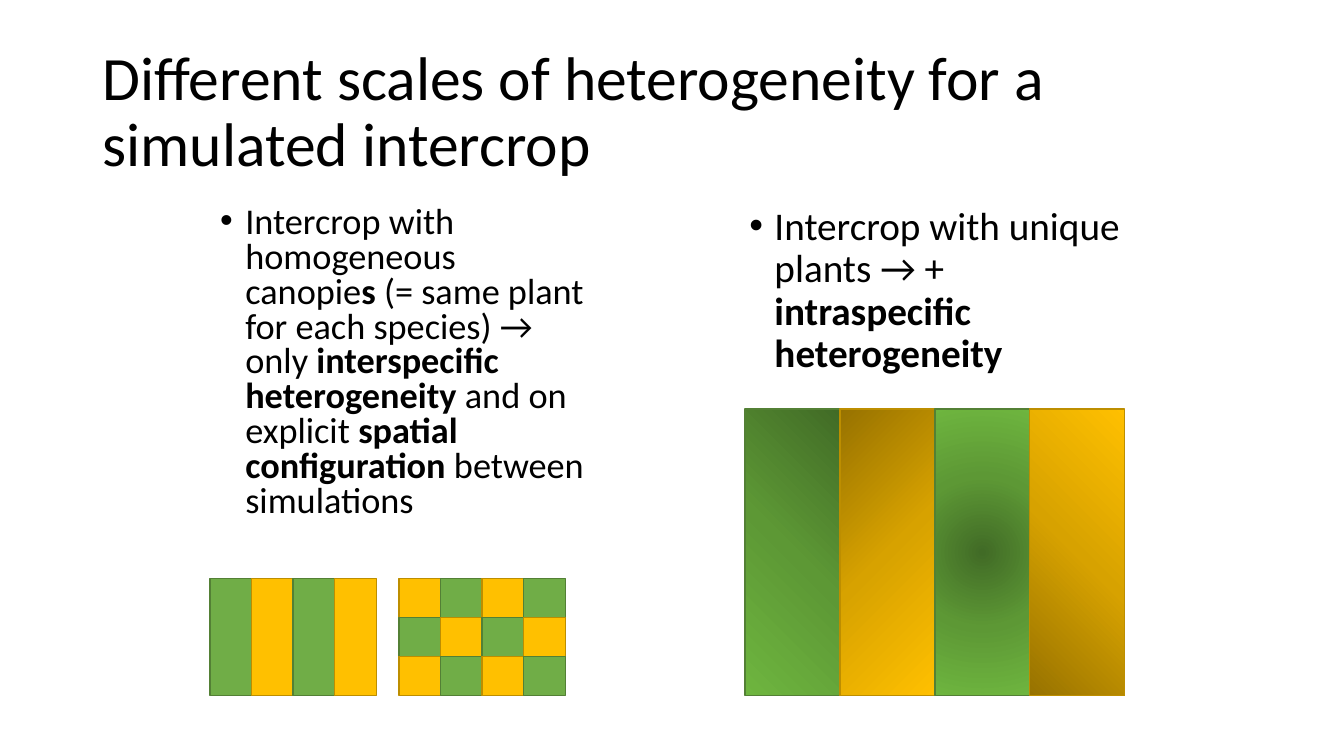
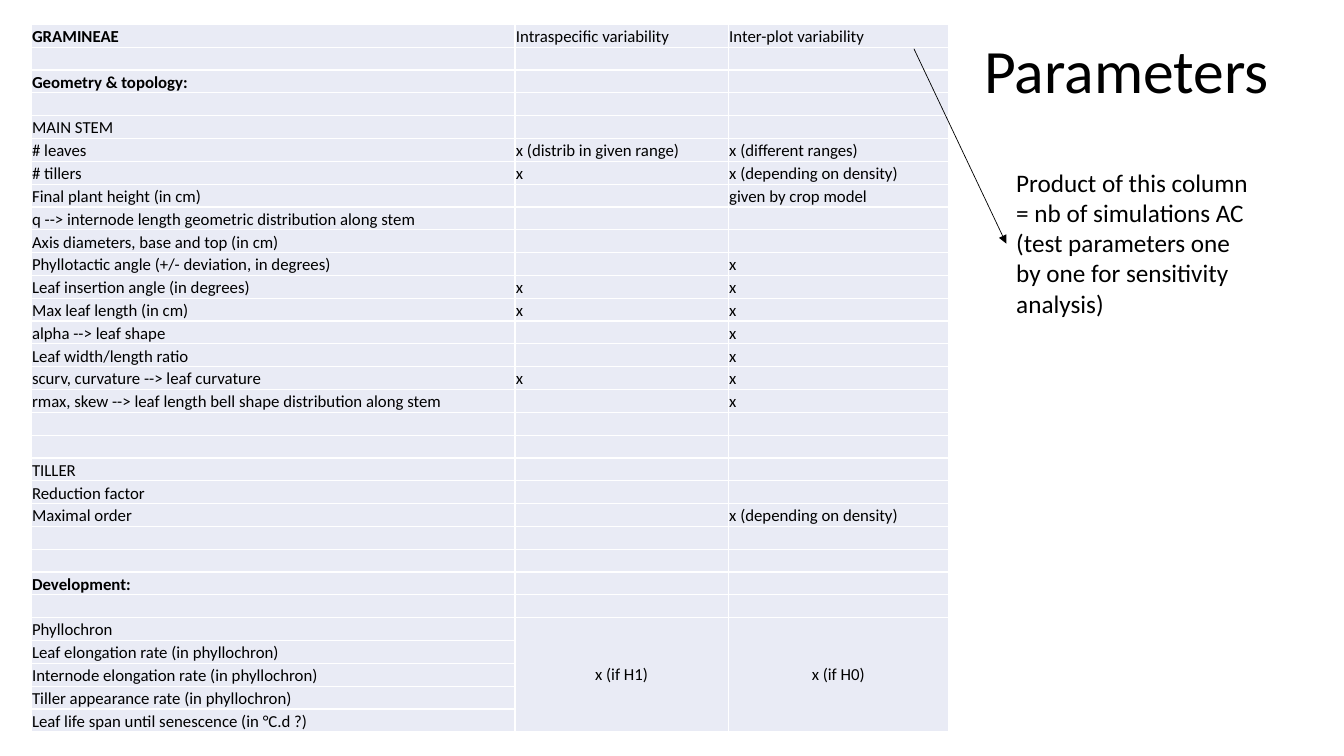
from lxml import etree
from pptx import Presentation
from pptx import util as u
from pptx.dml.color import RGBColor
from pptx.enum import shapes as es, text as et
from pptx.oxml import parse_xml
from pptx.oxml.ns import nsdecls, qn

BLACK = RGBColor(0x00, 0x00, 0x00)
PALE = RGBColor(0xE9, 0xEB, 0xF5)
GREEN = RGBColor(0x70, 0xAD, 0x47)
MOSS = RGBColor(0x53, 0x80, 0x35)
GOLD = RGBColor(0xFF, 0xC0, 0x00)
BROWN = RGBColor(0xBD, 0x8E, 0x00)
EDGE = {GREEN: MOSS, GOLD: BROWN}
PAIR = (GREEN, GOLD)
SHADES = {
    GREEN: (RGBColor(0x41, 0x6B, 0x26), RGBColor(0x5D, 0x98, 0x35), RGBColor(0x6E, 0xB5, 0x3F)),
    GOLD: (RGBColor(0x97, 0x72, 0x00), RGBColor(0xD7, 0xA2, 0x00), GOLD),
}
FONT = "Calibri"
COLS, ROWS = 160, 90
UNIT = u.Inches(7.5) / ROWS

LEFT = ("Intercrop with homogeneous canopie*s* (= same plant for each species) → only "
        "*interspecific heterogeneity *and on explicit *spatial configuration *between simulations")
RIGHT = "Intercrop with unique plants → + *intraspecific heterogeneity*"
NOTE = ("Product of this column = nb of simulations AC",
        "(test parameters one by one for sensitivity analysis)")
SPANS = (57.6, 25.4, 26.2)
BLANK = ("", "", "")
TRAITS = [
    ("*GRAMINEAE*", "Intraspecific variability", "Inter-plot variability"),
    BLANK,
    ("*Geometry & topology:*", "", ""),
    BLANK,
    ("MAIN STEM", "", ""),
    ("# leaves", "x (distrib in given range)", "x (different ranges)"),
    ("# tillers", "x", "x (depending on density)"),
    ("Final plant height (in cm)", "", "given by crop model"),
    ("q --> internode length geometric distribution along stem", "", ""),
    ("Axis diameters, base and top (in cm)", "", ""),
    ("Phyllotactic angle (+/- deviation, in degrees)", "", "x"),
    ("Leaf insertion angle (in degrees)", "x", "x"),
    ("Max leaf length (in cm)", "x", "x"),
    ("alpha --> leaf shape", "", "x"),
    ("Leaf width/length ratio", "", "x"),
    ("scurv, curvature --> leaf curvature", "x", "x"),
    ("rmax, skew --> leaf length bell shape distribution along stem", "", "x"),
    BLANK,
    BLANK,
    ("TILLER", "", ""),
    ("Reduction factor", "", ""),
    ("Maximal order", "", "x (depending on density)"),
    BLANK,
    BLANK,
    ("*Development:*", "", ""),
    BLANK,
    ("Phyllochron", "x (if H1)", "x (if H0)"),
    ("Leaf elongation rate (in phyllochron)", "", ""),
    ("Internode elongation rate (in phyllochron)", "", ""),
    ("Tiller appearance rate (in phyllochron)", "", ""),
    ("Leaf life span until senescence (in °C.d ?)", "", ""),
]
MERGE = 26


def grid(*cells):
    """Turn grid units into slide lengths."""
    return [u.Emu(round(c * UNIT)) for c in cells]


def place(shape, box):
    """Move a shape to a box of the grid."""
    shape.left, shape.top, shape.width, shape.height = grid(*box)


def write(para, words, size):
    """Fill a paragraph, with the words between stars in bold."""
    for i, part in enumerate(words.split("*")):
        if part:
            run = para.add_run()
            run.text = part
            run.font.name, run.font.size = FONT, u.Pt(size)
            run.font.bold = i % 2 == 1
            run.font.color.rgb = BLACK


def head(slide, words, box):
    """Set the slide title in the shared style."""
    title = slide.shapes.title
    place(title, box)
    frame = title.text_frame
    frame.auto_size = et.MSO_AUTO_SIZE.NONE
    frame.vertical_anchor = et.MSO_ANCHOR.MIDDLE
    para = frame.paragraphs[0]
    para.alignment, para.line_spacing = et.PP_ALIGN.LEFT, 0.9
    write(para, words, 44)


def point(body, words, box, size, pitch):
    """Set one bullet point in a body placeholder."""
    place(body, box)
    body.text_frame.auto_size = et.MSO_AUTO_SIZE.NONE
    for node in body.element.iter(qn("a:p")):
        props = node.get_or_add_pPr()
        props.set("marL", str(u.Inches(0.25)))
        props.set("indent", str(-u.Inches(0.25)))
        props.append(parse_xml(f'<a:buFont {nsdecls("a")} typeface="Arial"/>'))
        props.append(parse_xml(f'<a:buChar {nsdecls("a")} char="•"/>'))
    para = body.text_frame.paragraphs[0]
    para.line_spacing, para.space_before = pitch, u.Pt(0)
    write(para, words, size)


def field(slide, box, cols, rows, pick):
    """Tile a box with plots, coloured by column and row."""
    x, y, w, h = box
    w, h = w / cols, h / rows
    plots = []
    for row in range(rows):
        for col in range(cols):
            spot = grid(x + col * w, y + row * h, w, h)
            plot = slide.shapes.add_shape(es.MSO_SHAPE.RECTANGLE, *spot)
            tint = pick(col, row)
            plot.shadow.inherit = False
            plot.fill.solid()
            plot.fill.fore_color.rgb = tint
            plot.line.color.rgb, plot.line.width = EDGE[tint], u.Pt(1)
            plots.append(plot)
    return plots


def shade(plot, tint, course):
    """Give a plot a three-stop gradient along a course."""
    stops = "".join(f'<a:gs pos="{i * 50000}"><a:srgbClr val="{c}"/></a:gs>'
                    for i, c in enumerate(SHADES[tint]))
    flow = parse_xml(f'<a:gradFill {nsdecls("a")} rotWithShape="1">'
                     f"<a:gsLst>{stops}</a:gsLst>{course}</a:gradFill>")
    props = plot.element.spPr
    props.replace(props.find(qn("a:solidFill")), flow)


def line(turn):
    """Describe a straight gradient at an angle in degrees."""
    return f'<a:lin ang="{turn * 60000}" scaled="1"/>'


def ring(l, t, r, b):
    """Describe a round gradient around a focus in percent."""
    sides = " ".join(f'{k}="{v * 1000}"' for k, v in zip("ltrb", (l, t, r, b)))
    return f'<a:path path="circle"><a:fillToRect {sides}/></a:path>'


def table(slide, box):
    """Lay out the trait table in a box."""
    x, y, w, h = grid(*box)
    shape = slide.shapes.add_table(len(TRAITS), len(SPANS), x, y, w, h)
    tab = shape.table
    tab.first_row = tab.horz_banding = False
    for col, span in zip(tab.columns, SPANS):
        col.width = u.Emu(round(w * span / sum(SPANS)))
    for row in tab.rows:
        row.height = u.Emu(round(h / len(TRAITS)))
    for r, traits in enumerate(TRAITS):
        for c, words in enumerate(traits):
            cell = tab.cell(r, c)
            cell.fill.solid()
            cell.fill.fore_color.rgb = PALE
            cell.margin_left = cell.margin_right = cell.margin_top = u.Inches(0.01)
            cell.margin_bottom = 0
            cell.vertical_anchor = et.MSO_ANCHOR.BOTTOM
            write(cell.text_frame.paragraphs[0], words, 12)
    for c in (1, 2):
        cell = tab.cell(MERGE, c)
        cell.merge(tab.cell(len(TRAITS) - 1, c))
        cell.vertical_anchor = et.MSO_ANCHOR.MIDDLE
        cell.text_frame.paragraphs[0].alignment = et.PP_ALIGN.CENTER
    for node in shape.element.iter(qn("a:p")):
        if node.find(qn("a:r")) is None:
            etree.SubElement(node, qn("a:endParaRPr"), sz="1200")


def note(slide, box):
    """Write the side note in a box."""
    frame = slide.shapes.add_textbox(*grid(*box)).text_frame
    frame.word_wrap = True
    frame.auto_size = et.MSO_AUTO_SIZE.SHAPE_TO_FIT_TEXT
    for i, words in enumerate(NOTE):
        write(frame.add_paragraph() if i else frame.paragraphs[0], words, 18)


def arrow(slide, ends):
    """Draw a thin arrow between two grid points."""
    link = slide.shapes.add_connector(es.MSO_CONNECTOR.STRAIGHT, *grid(*ends))
    link.line.color.rgb, link.line.width = BLACK, u.Pt(0.5)
    props = link.element.spPr
    tip = parse_xml(f'<a:tailEnd {nsdecls("a")} type="triangle"/>')
    props.find(qn("a:ln")).append(tip)
    etree.SubElement(props, qn("a:effectLst"))


def scales(deck):
    """Build the slide on scales of heterogeneity."""
    slide = deck.slides.add_slide(deck.slide_layouts[3])
    head(slide, "Different scales of heterogeneity for a simulated intercrop", (11, 4.8, 138, 17.4))
    point(slide.placeholders[1], LEFT, (25, 24, 46.8, 40.3), 25.9, 0.8)
    point(slide.placeholders[2], RIGHT, (88, 24, 46.8, 57.1), 28, 0.9)
    field(slide, (25, 68.9, 19.8, 13.9), 4, 1, lambda c, r: PAIR[c % 2])
    field(slide, (47.5, 68.9, 19.8, 13.9), 4, 3, lambda c, r: PAIR[(c + r + 1) % 2])
    strips = field(slide, (88.7, 48.7, 45.2, 34.1), 4, 1, lambda c, r: PAIR[c % 2])
    flows = (line(135), ring(0, 0, 100, 100), ring(50, 50, 50, 50), line(315))
    for i, (strip, flow) in enumerate(zip(strips, flows)):
        shade(strip, PAIR[i % 2], flow)


def params(deck):
    """Build the slide with the table of parameters."""
    slide = deck.slides.add_slide(deck.slide_layouts[5])
    head(slide, "Parameters", (116, 0, 42, 17.4))
    table(slide, (3.7, 2.9, 109.2, 84.3))
    note(slide, (119.8, 19.3, 30.8, 19.4))
    arrow(slide, (108.8, 5.8, 119.8, 29))


def main():
    """Build and save the deck."""
    deck = Presentation()
    deck.slide_width, deck.slide_height = grid(COLS, ROWS)
    scales(deck)
    params(deck)
    deck.save("out.pptx")


if __name__ == "__main__":
    main()
